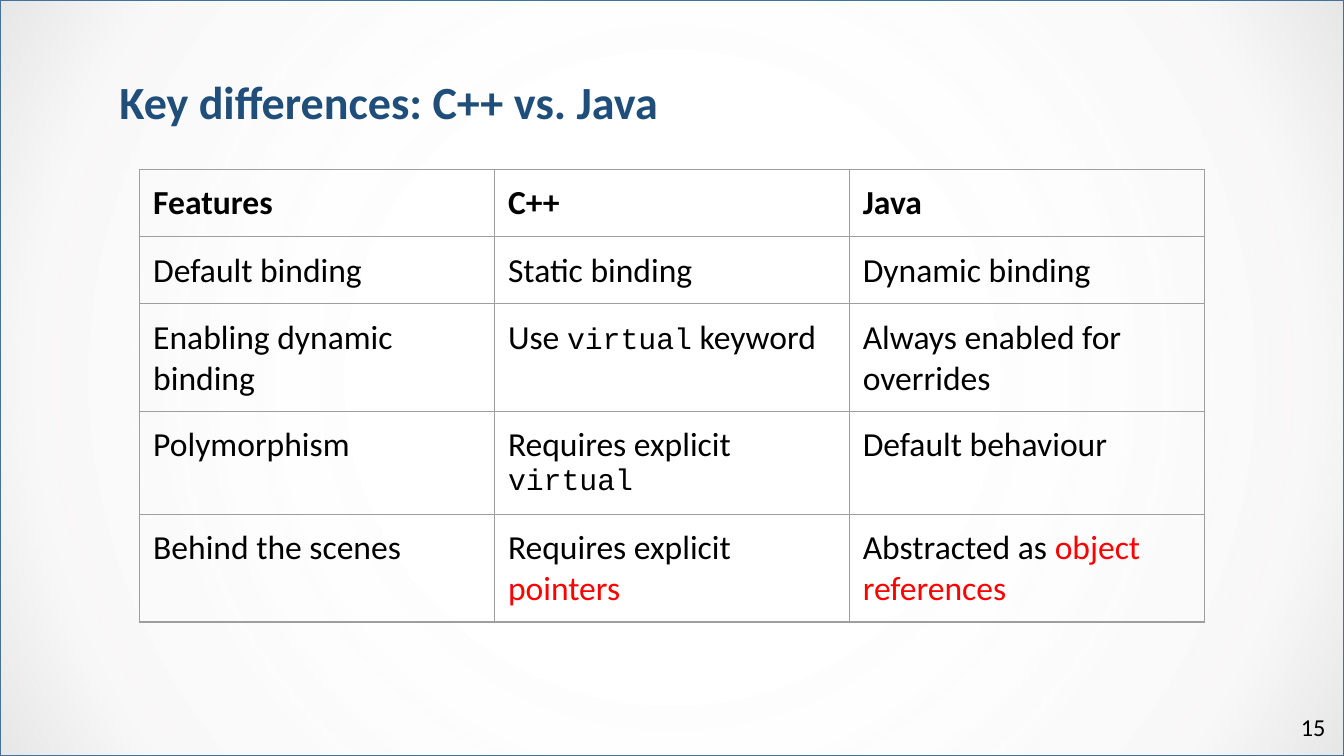
"""Build a slide with a table comparing C++ and Java binding."""
from lxml import etree
from pptx import Presentation, util as u
from pptx.dml.color import RGBColor
from pptx.enum import shapes, text
from pptx.oxml import parse_xml
from pptx.oxml.ns import nsdecls, qn

COLORS = {"title": "1E4E79", "body": "000000", "accent": "FF0000",
          "grid": "9E9E9E", "frame": "42719B"}
BACKDROP_STOPS = [(0, "F6F9FC", 0), (38, "FFFFFF", 15),
                  (84, "E7E6E6", 30), (100, "E7E6E6", 100)]
STYLES = {
    "title": ("Calibri", 24.7, True, "title"),
    "number": ("Calibri", 13, False, "body"),
    "header": ("Calibri", 18, True, "body"),
    "body": ("Calibri", 18, False, "body"),
    "code": ("Courier New", 16, False, "body"),
    "accent": ("Calibri", 18, False, "accent"),
}
TITLE = [("Key differences: C++ vs. Java", "title")]
PAGE_NUMBER = [("15", "number")]
COMPARISON = [
    [[("Features", "header")], [("C++", "header")], [("Java", "header")]],
    [[("Default binding", "body")], [("Static binding", "body")],
     [("Dynamic binding", "body")]],
    [[("Enabling dynamic binding", "body")],
     [("Use ", "body"), ("virtual", "code"), (" keyword", "body")],
     [("Always enabled for overrides", "body")]],
    [[("Polymorphism", "body")],
     [("Requires explicit ", "body"), ("virtual", "code")],
     [("Default behaviour", "body")]],
    [[("Behind the scenes", "body")],
     [("Requires explicit ", "body"), ("pointers", "accent")],
     [("Abstracted as ", "body"), ("object references", "accent")]],
]
WIDTH = u.Inches(10)
HEIGHT = WIDTH * 9 // 16
COLUMN_WIDTH, ROW_HEIGHT = u.Inches(2.64), u.Inches(0.42)
MARGIN = u.Inches(0.1)


def rgb(name):
    return RGBColor.from_string(COLORS[name])


def set_margins(holder):
    holder.margin_left = holder.margin_right = MARGIN
    holder.margin_top = holder.margin_bottom = MARGIN


def write_runs(paragraph, pieces):
    for wording, style in pieces:
        run = paragraph.add_run()
        run.text = wording
        font = run.font
        font.name, size, font.bold, color = STYLES[style]
        font.size = u.Pt(size)
        font.color.rgb = rgb(color)


def add_label(slide, pieces, box, anchor, align, spacing):
    frame = slide.shapes.add_textbox(*map(u.Inches, box)).text_frame
    frame.word_wrap = True
    frame.vertical_anchor = anchor
    set_margins(frame)
    paragraph = frame.paragraphs[0]
    paragraph.alignment = align
    paragraph.line_spacing = spacing
    write_runs(paragraph, pieces)


def add_backdrop(slide):
    backdrop = slide.shapes.add_shape(shapes.MSO_SHAPE.RECTANGLE, 0, 0, WIDTH, HEIGHT)
    backdrop.shadow.inherit = False
    backdrop.line.color.rgb = rgb("frame")
    backdrop.line.width = u.Pt(1)
    backdrop.fill.gradient()
    stops = "".join(
        f'<a:gs pos="{pos * 1000}"><a:srgbClr val="{color}">'
        f'<a:alpha val="{alpha * 1000}"/></a:srgbClr></a:gs>'
        for pos, color, alpha in BACKDROP_STOPS)
    gradient = parse_xml(
        f'<a:gradFill {nsdecls("a")} rotWithShape="1"><a:gsLst>{stops}</a:gsLst>'
        '<a:path path="circle"><a:fillToRect l="50000" t="50000" r="50000" b="50000"/>'
        '</a:path></a:gradFill>')
    properties = backdrop.element.spPr
    properties.replace(properties.find(qn("a:gradFill")), gradient)


def add_borders(cell):
    properties = cell._tc.get_or_add_tcPr()
    for position, side in enumerate(("lnL", "lnR", "lnT", "lnB")):
        border = etree.Element(qn(f"a:{side}"), w=str(u.Pt(0.75)))
        fill = etree.SubElement(border, qn("a:solidFill"))
        etree.SubElement(fill, qn("a:srgbClr"), val=COLORS["grid"])
        properties.insert(position, border)


def add_comparison(slide):
    rows, columns = len(COMPARISON), len(COMPARISON[0])
    table = slide.shapes.add_table(
        rows, columns, u.Inches(1.04), u.Inches(1.26),
        COLUMN_WIDTH * columns, ROW_HEIGHT * rows).table
    table.first_row = table.horz_banding = False
    for r, row in enumerate(COMPARISON):
        for c, pieces in enumerate(row):
            cell = table.cell(r, c)
            cell.fill.background()
            set_margins(cell)
            add_borders(cell)
            write_runs(cell.text_frame.paragraphs[0], pieces)


def main():
    deck = Presentation()
    deck.slide_width, deck.slide_height = WIDTH, HEIGHT
    slide = deck.slides.add_slide(deck.slide_layouts[6])
    add_backdrop(slide)
    add_label(slide, TITLE, (0.79, 0.49, 8.43, 0.63),
              text.MSO_ANCHOR.TOP, text.PP_ALIGN.LEFT, 0.9)
    add_label(slide, PAGE_NUMBER, (9.36, 5.19, 0.6, 0.43),
              text.MSO_ANCHOR.MIDDLE, text.PP_ALIGN.RIGHT, 1.0)
    add_comparison(slide)
    deck.save("out.pptx")


if __name__ == "__main__":
    main()
